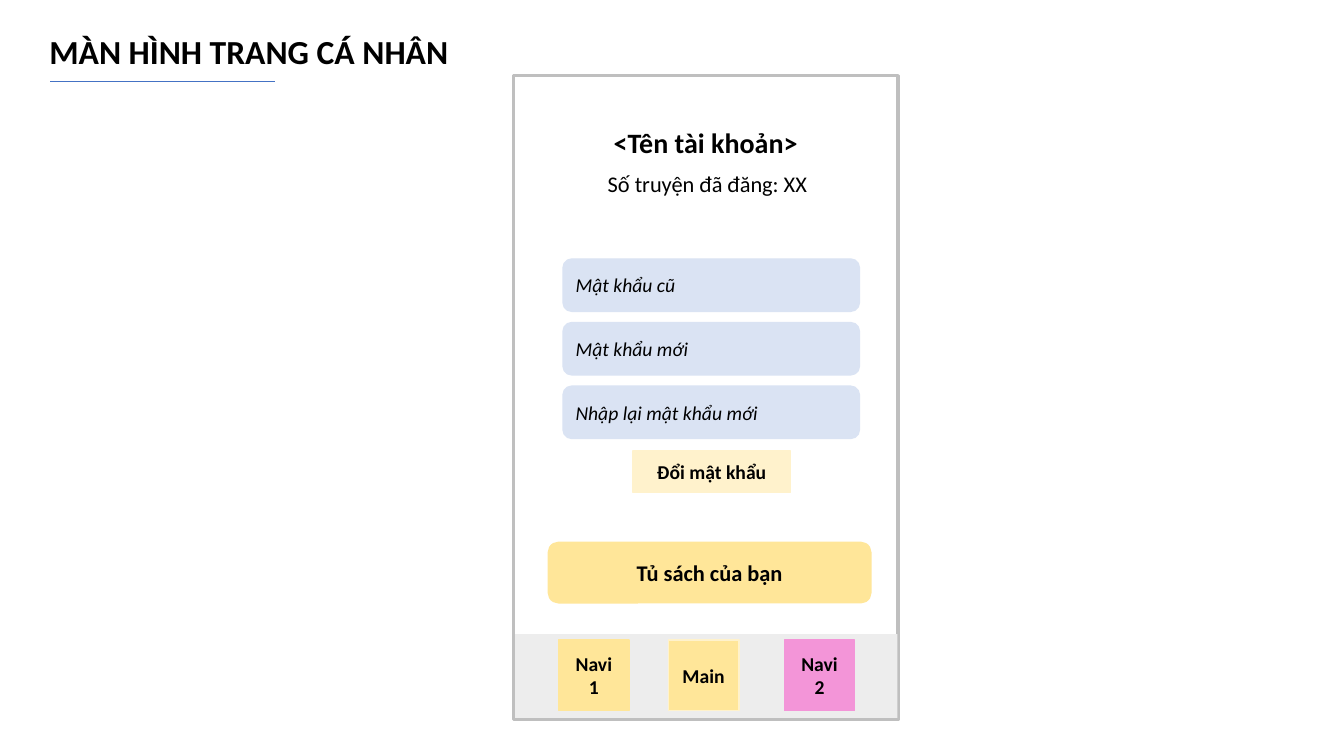
from dataclasses import dataclass

import pptx
import pptx.dml.color
import pptx.enum.shapes
import pptx.enum.text
import pptx.oxml
import pptx.oxml.ns
import pptx.util

Pt = pptx.util.Pt
Kind = pptx.enum.shapes.MSO_SHAPE
Align = pptx.enum.text.PP_ALIGN
Anchor = pptx.enum.text.MSO_ANCHOR
AutoSize = pptx.enum.text.MSO_AUTO_SIZE


@dataclass
class Box:
    """A part of the phone screen; lengths in points."""
    left: float
    top: float
    width: float
    height: float
    fill: str
    outline: str = ""
    text: str = ""
    kind: Kind = Kind.RECTANGLE
    size: float = 14
    bold: bool = True
    italic: bool = False
    align: Align = Align.CENTER
    outline_width: float = 1


@dataclass
class Label:
    left: float
    top: float
    width: float
    height: float
    text: str
    size: float
    bold: bool


def color(value: str) -> pptx.dml.color.RGBColor:
    return pptx.dml.color.RGBColor.from_string(value)


def write(text_frame, text: str, size: float, bold: bool = False,
          italic: bool = False, align: Align = Align.LEFT) -> None:
    text_frame.text = text
    paragraph = text_frame.paragraphs[0]
    paragraph.alignment = align
    for run in paragraph.runs:
        run.font.name = "Calibri"
        run.font.size = Pt(size)
        run.font.bold = bold
        run.font.italic = italic
        run.font.color.rgb = color("000000")


def draw_box(shapes, box: Box) -> None:
    shape = shapes.add_shape(box.kind, Pt(box.left), Pt(box.top), Pt(box.width), Pt(box.height))
    shape.shadow.inherit = False
    shape.fill.solid()
    shape.fill.fore_color.rgb = color(box.fill)
    if box.outline:
        shape.line.color.rgb = color(box.outline)
        shape.line.width = Pt(box.outline_width)
    else:
        shape.line.fill.background()
    if box.text:
        shape.text_frame.vertical_anchor = Anchor.MIDDLE
        write(shape.text_frame, box.text, box.size, box.bold, box.italic, box.align)


def draw_label(shapes, label: Label) -> None:
    text_box = shapes.add_textbox(Pt(label.left), Pt(label.top), Pt(label.width), Pt(label.height))
    text_box.text_frame.word_wrap = True
    text_box.text_frame.auto_size = AutoSize.SHAPE_TO_FIT_TEXT
    write(text_box.text_frame, label.text, label.size, label.bold)


def draw_title(slide, text: str) -> None:
    title = slide.shapes.title
    title.left, title.top, title.width, title.height = Pt(28), Pt(18.7), Pt(302), Pt(36)
    title.text_frame.word_wrap = False
    title.text_frame.auto_size = AutoSize.SHAPE_TO_FIT_TEXT
    title.text_frame.vertical_anchor = Anchor.TOP
    write(title.text_frame, text, 24, bold=True)

    underline = slide.shapes.add_connector(
        pptx.enum.shapes.MSO_CONNECTOR.STRAIGHT, Pt(36), Pt(58.3), Pt(196.5), Pt(58.3))
    underline.line.color.rgb = color("4472C4")
    underline.line.width = Pt(0.5)
    underline._element.spPr.append(pptx.oxml.parse_xml(
        f"<a:effectLst {pptx.oxml.ns.nsdecls('a')}/>"))


# Phone frame and navigation bar
FRAME = [
    Box(366.5, 54, 275, 460, "FFFFFF", "BFBFBF", outline_width=2.25),
    Box(368, 453, 273, 59.8, "EDEDED"),
]
NAVIGATION = [
    Box(left, 457.2, 50.4, 50.4, fill, outline, text)
    for left, fill, outline, text in [
        (399, "FFE699", "FFE699", "Navi 1"),
        (477.4, "FFE699", "FFF2CC", "Main"),
        (560.2, "F395D8", "F395D8", "Navi 2"),
    ]
]

# Account details
ACCOUNT = [
    Label(431.3, 86.4, 154.8, 31.7, "<Tên tài khoản>", 20, True),
    Label(427, 118, 162, 26.6, "Số truyện đã đăng: XX", 16, False),
]

# Password form and bookshelf button
FIELD_TOP, FIELD_PITCH = 185, 45.4
FIELDS = [
    Box(402.2, FIELD_TOP + row * FIELD_PITCH, 211.7, 37.4, "DAE3F3", "DAE3F3", text,
        Kind.ROUNDED_RECTANGLE, bold=False, italic=True, align=Align.LEFT)
    for row, text in enumerate(["Mật khẩu cũ", "Mật khẩu mới", "Nhập lại mật khẩu mới"])
]
BUTTONS = [
    Box(452.2, 322.2, 112.3, 29.5, "FFF2CC", "FFF2CC", "Đổi mật khẩu"),
    Box(391.7, 387.4, 230.4, 43.2, "FFE699", "FFE699", "Tủ sách của bạn",
        Kind.ROUNDED_RECTANGLE, size=16),
]


def main() -> None:
    presentation = pptx.Presentation()
    presentation.slide_width, presentation.slide_height = Pt(960), Pt(540)
    slide = presentation.slides.add_slide(presentation.slide_layouts.get_by_name("Title Only"))
    draw_title(slide, "MÀN HÌNH TRANG CÁ NHÂN")

    phone = slide.shapes.add_group_shape()
    for box in FRAME + NAVIGATION + FIELDS + BUTTONS:
        draw_box(phone.shapes, box)
    for label in ACCOUNT:
        draw_label(phone.shapes, label)

    presentation.save("out.pptx")


if __name__ == "__main__":
    main()
